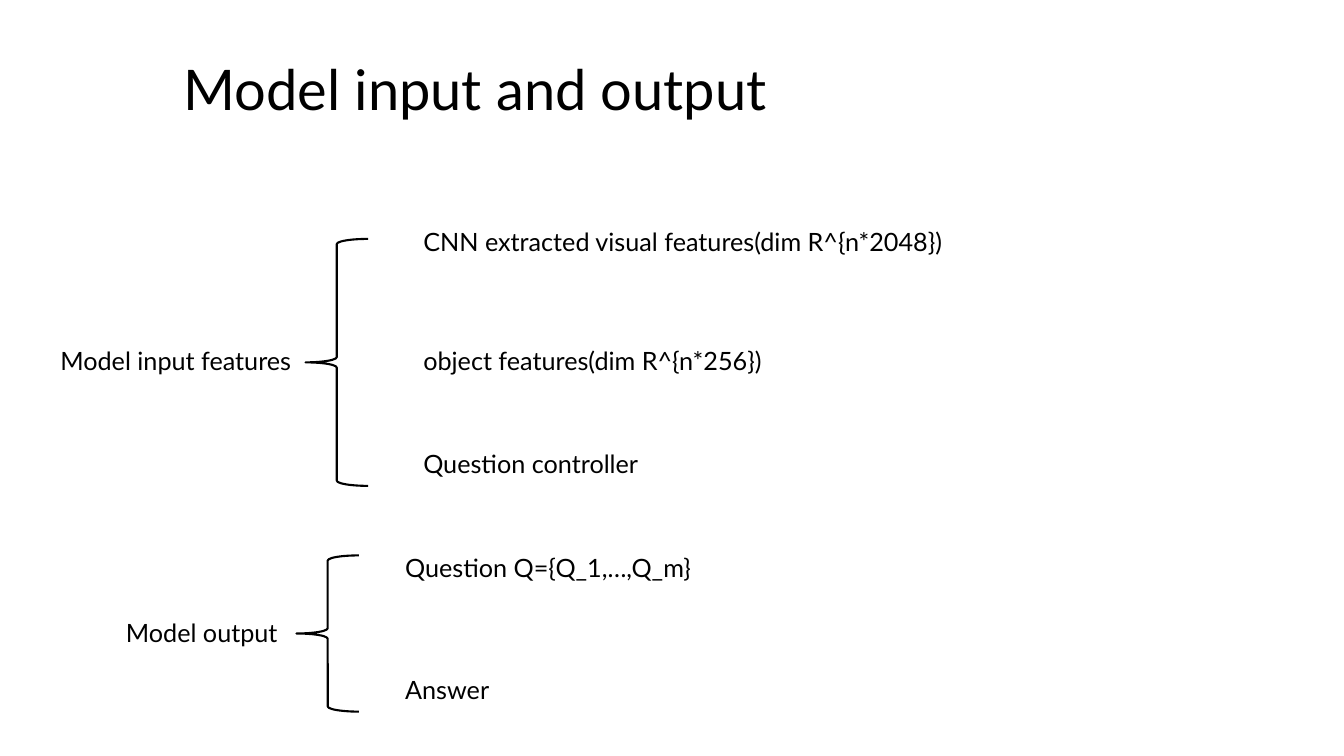
import pptx
import pptx.util
import pptx.dml.color
import pptx.enum.shapes
import pptx.enum.text

Inches = pptx.util.Inches
BLACK = pptx.dml.color.RGBColor(0x00, 0x00, 0x00)
WHITE = pptx.dml.color.RGBColor(0xFF, 0xFF, 0xFF)
FONT = {"name": "Lato", "bold": False}
FRAME = {
    "word_wrap": True,
    "auto_size": pptx.enum.text.MSO_AUTO_SIZE.NONE,
    "vertical_anchor": pptx.enum.text.MSO_ANCHOR.TOP,
}


def write_text(box, text, size):
    for name, value in FRAME.items():
        setattr(box.text_frame, name, value)
    para = box.text_frame.paragraphs[0]
    para.alignment = pptx.enum.text.PP_ALIGN.LEFT
    span = para.add_run()
    span.text = text
    for name, value in (FONT | {"size": pptx.util.Pt(size)}).items():
        setattr(span.font, name, value)
    span.font.color.rgb = BLACK


deck = pptx.Presentation()
deck.slide_width = Inches(13.33)
deck.slide_height = Inches(7.5)
page = deck.slides.add_slide(deck.slide_layouts[5])

title = page.shapes.title
title_place = {"left": 1.72, "top": 0.49, "width": 6.3, "height": 0.77}
for name, value in title_place.items():
    setattr(title, name, Inches(value))
write_text(title, "Model input and output", 40)

groups = [
    {
        "brace": (3.03, 2.37, 2.45),
        "label": ("Model input features", 0.5, 3.38, 2.52),
        "item_left": 4.1,
        "items": [
            ("CNN extracted visual features(dim R^{n*2048})", 2.2),
            ("object features(dim R^{n*256})", 3.38),
            ("Question controller", 4.4),
        ],
    },
    {
        "brace": (2.94, 5.51, 1.55),
        "label": ("Model output", 1.15, 6.08, 1.79),
        "item_left": 3.92,
        "items": [("Question Q={Q_1,…,Q_m}", 5.43), ("Answer", 6.64)],
    },
]

for group in groups:
    left, top, height = group["brace"]
    brace = page.shapes.add_shape(
        pptx.enum.shapes.MSO_SHAPE.LEFT_BRACE,
        Inches(left), Inches(top), Inches(0.62), Inches(height),
    )
    brace.shadow.inherit = False
    brace.fill.solid()
    brace.fill.fore_color.rgb = WHITE
    brace.line.color.rgb = BLACK
    brace.line.width = pptx.util.Pt(1.5)

    captions = [group["label"]]
    captions += [(text, group["item_left"], top, 6.2) for text, top in group["items"]]
    for text, left, top, width in captions:
        box = page.shapes.add_textbox(
            Inches(left), Inches(top), Inches(width), Inches(0.4)
        )
        write_text(box, text, 18)

deck.save("out.pptx")
